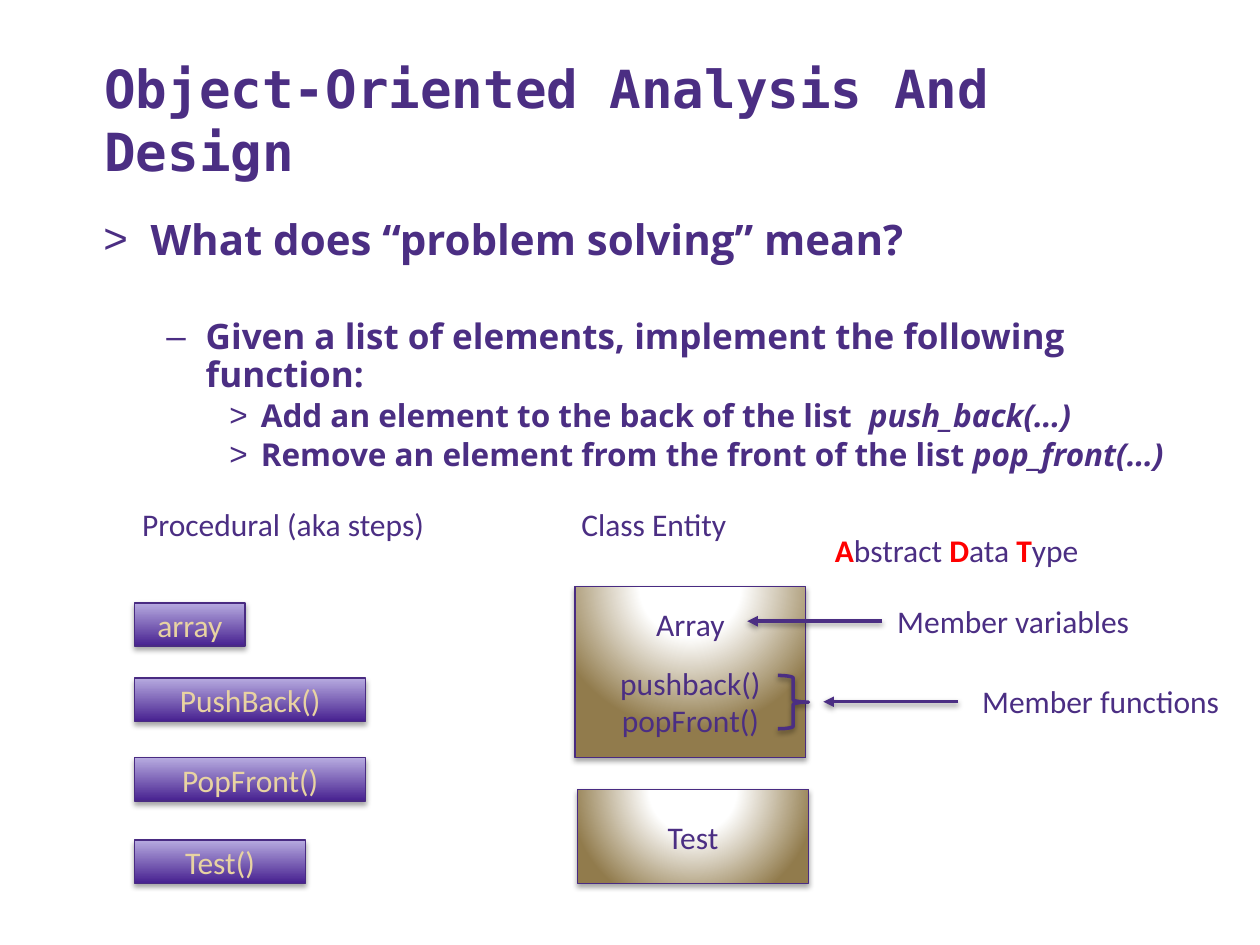
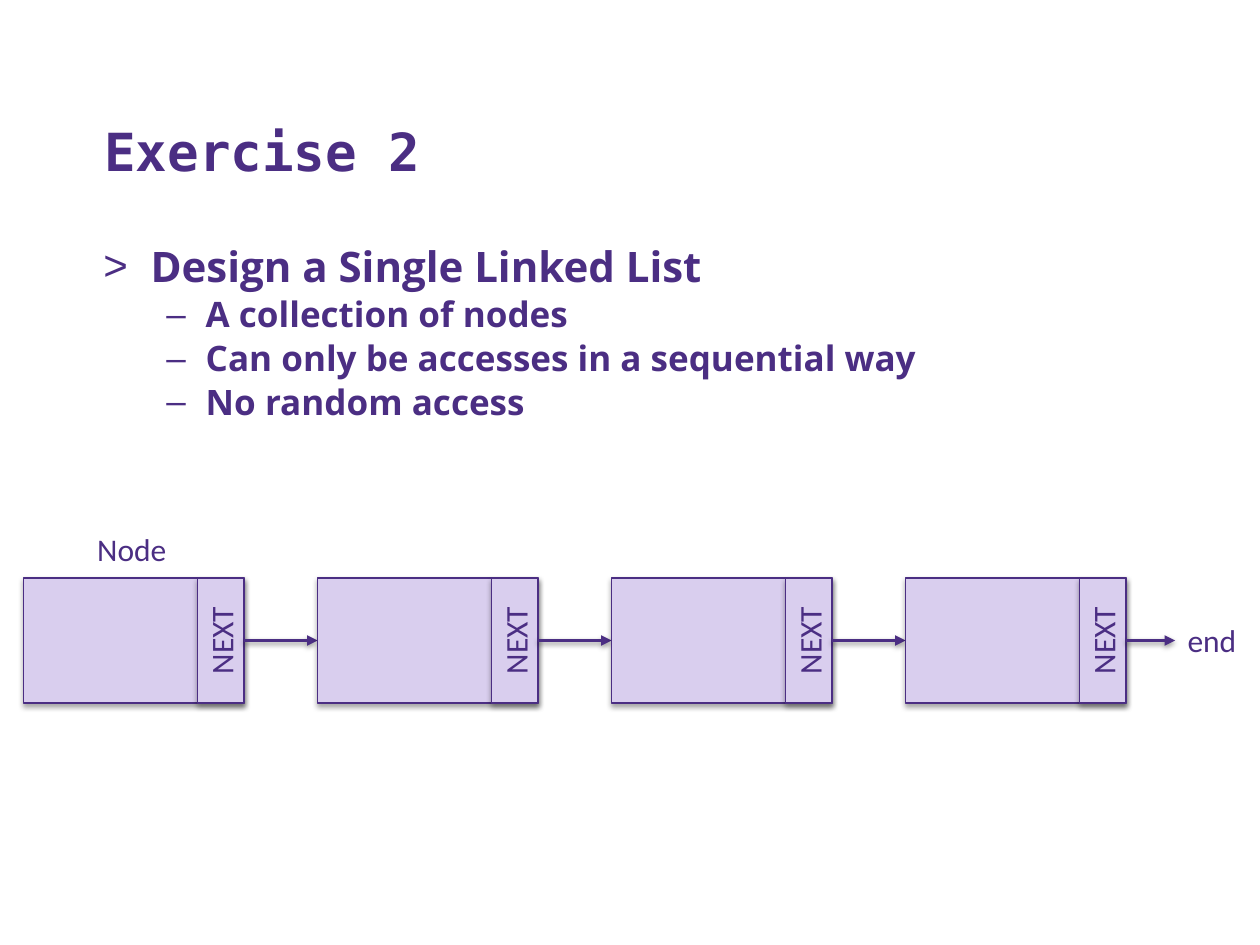
from dataclasses import dataclass

from pptx import Presentation
from pptx.dml.color import RGBColor
from pptx.enum.shapes import MSO_CONNECTOR, MSO_SHAPE
from pptx.enum.text import MSO_ANCHOR, PP_ALIGN
from pptx.oxml import parse_xml
from pptx.oxml.ns import nsdecls, qn
from pptx.util import Pt

RECT, BRACE = MSO_SHAPE.RECTANGLE, MSO_SHAPE.RIGHT_BRACE
STRAIGHT = MSO_CONNECTOR.STRAIGHT
TOP, MIDDLE, BOTTOM = MSO_ANCHOR.TOP, MSO_ANCHOR.MIDDLE, MSO_ANCHOR.BOTTOM
LEFT, CENTER = PP_ALIGN.LEFT, PP_ALIGN.CENTER


@dataclass(frozen=True)
class Theme:
    ink: str = "4B2E83"
    edge: str = "492B82"
    gold: str = "E8D3A2"
    key: str = "FF0000"
    lilac: str = "D9CEEE"
    violet: tuple = ((0, "472190"), (100, "B7ABE0"))
    bronze: tuple = ((0, "FFFFFF"), (35, "FFFFFF"), (100, "917B4C"))
    mono: str = "DejaVu Sans Mono"
    sans: str = "Open Sans"
    plain: str = "Calibri"
    title: int = 30
    label: int = 18
    thin: float = 0.75
    thick: int = 2


T = Theme()
LINEAR = '<a:lin ang="16200000" scaled="0"/>'
RADIAL = ('<a:path path="circle"><a:fillToRect l="50000" t="-80000" '
          'r="50000" b="180000"/></a:path>')
# Per list level: size, left margin, hanging indent, space before, bullet
LEVELS = ((24, 27, 27, 4, ">"), (20, 58.5, 22.5, 3.5, "–"), (18, 90, 18, 3, ">"))


def rgb(code):
    return RGBColor.from_string(code)


def xml(tag, body="", **attrs):
    pairs = " ".join(f'{name}="{value}"' for name, value in attrs.items())
    return parse_xml(f'<a:{tag} {nsdecls("a")} {pairs}>{body}</a:{tag}>')


def write(para, text, face=T.plain, size=T.label, color=T.ink, bold=False):
    """Fill a paragraph with a string, or with (text, mark) runs."""
    font = para.font
    font.name, font.size, font.bold = face, Pt(size), bold
    font.color.rgb = rgb(color)
    for part, mark in [(text, "")] if isinstance(text, str) else text:
        run = para.add_run()
        run.text = part
        if mark == "italic":
            run.font.italic = True
        elif mark == "key":
            run.font.bold = True
            run.font.color.rgb = rgb(T.key)


def shade(shape, stops, course):
    """Give a shape a gradient; course is its direction element."""
    shape.fill.gradient()
    props = shape._element.spPr
    marks = "".join(f'<a:gs pos="{pos * 1000}"><a:srgbClr val="{code}"/></a:gs>'
                    for pos, code in stops)
    props.replace(props.find(qn("a:gradFill")),
                  xml("gradFill", f"<a:gsLst>{marks}</a:gsLst>{course}",
                      rotWithShape=1))


def drop(shape, alpha=35, dist=1.8):
    """Set a soft shadow that falls straight down."""
    props = shape._element.spPr
    old = props.find(qn("a:effectLst"))
    if old is not None:
        props.remove(old)
    tint = f'<a:srgbClr val="000000"><a:alpha val="{alpha * 1000}"/></a:srgbClr>'
    props.append(xml("effectLst",
                     f'<a:outerShdw blurRad="{Pt(3.1)}" dist="{Pt(dist)}" '
                     f'dir="5400000" rotWithShape="0">{tint}</a:outerShdw>'))


def text_box(slide, box, anchor=TOP, wrap=True):
    frame = slide.shapes.add_textbox(*map(Pt, box)).text_frame
    frame.word_wrap = wrap
    frame.vertical_anchor = anchor
    return frame


def label(slide, box, text, indent=0, wrap=False):
    frame = text_box(slide, box, wrap=wrap)
    frame.margin_left = Pt(7.2 + indent)
    write(frame.paragraphs[0], text)


def note(slide, left, top, text):
    """Add a label whose text starts one inch into its box."""
    label(slide, (left, top, 250, 29), text, indent=72, wrap=True)


def block(slide, box, lines=(), fill=T.lilac, course=None, edge=T.edge,
          color=T.ink, turn=0):
    """Draw a shadowed rectangle; lines holds (text, space before) pairs."""
    shape = slide.shapes.add_shape(RECT, *map(Pt, box))
    shape.rotation = turn
    shape.shadow.inherit = False
    if course:
        shade(shape, fill, course)
    else:
        shape.fill.solid()
        shape.fill.fore_color.rgb = rgb(fill)
    shape.line.color.rgb = rgb(edge)
    shape.line.width = Pt(T.thin)
    drop(shape)
    frame = shape.text_frame
    frame.vertical_anchor = MIDDLE
    for i, (text, gap) in enumerate(lines):
        para = frame.add_paragraph() if i else frame.paragraphs[0]
        para.alignment = CENTER
        if gap:
            para.space_before = Pt(gap)
        write(para, text, color=color)


def arrow(slide, start, end, y):
    link = slide.shapes.add_connector(STRAIGHT, Pt(start), Pt(y), Pt(end), Pt(y))
    link.line.color.rgb = rgb(T.ink)
    link.line.width = Pt(T.thick)
    link.line._get_or_add_ln().append(xml("tailEnd", type="triangle"))
    drop(link, 38, 1.6)


def brace(slide, box):
    shape = slide.shapes.add_shape(BRACE, *map(Pt, box))
    shape.shadow.inherit = False
    shape.fill.background()
    shape.line.color.rgb = rgb(T.ink)
    shape.line.width = Pt(T.thick)
    drop(shape, 38, 1.6)


def heading(slide, text):
    frame = text_box(slide, (52.5, 29.5, 644, 78), BOTTOM)
    write(frame.paragraphs[0], text, T.mono, T.title, bold=True)


def outline(slide, top, items):
    """Write the bulleted list; items hold (level, text, extra gap)."""
    frame = text_box(slide, (52, top, 645, 316))
    for i, (level, text, extra) in enumerate(items):
        size, margin, hang, gap, sign = LEVELS[level]
        para = frame.add_paragraph() if i else frame.paragraphs[0]
        para.level = level
        para.alignment = LEFT
        para.line_spacing = 0.9
        if i:
            para.space_before = Pt(gap + extra)
        props = para._p.get_or_add_pPr()
        props.set("marL", str(Pt(margin)))
        props.set("indent", str(-Pt(hang)))
        props.append(xml("buFont", typeface="Arial"))
        props.append(xml("buChar", char=sign.replace(">", "&gt;")))
        write(para, text, T.sans, size, bold=True)


def steps(slide, left, top):
    """Draw the procedural column."""
    note(slide, left - 75, top, "Procedural (aka steps)")
    for text, down, width in (("array", 59.5, 63), ("PushBack()", 102.5, 132),
                              ("PopFront()", 148, 132), ("Test()", 195, 97.5)):
        block(slide, (left, top + down, width, 24.75), [(text, 0)],
              T.violet, LINEAR, color=T.gold)


def entity(slide, left, top):
    """Draw the class column with its members."""
    note(slide, left - 75.5, top, "Class Entity")
    block(slide, (left, top + 50, 132, 98),
          [("Array", 0), ("pushback()", 12), ("popFront()", 0)],
          T.bronze, RADIAL)
    block(slide, (left + 1.5, top + 166, 132, 54), [("Test", 0)],
          T.bronze, RADIAL)
    arrow(slide, left + 175.5, left + 98.5, top + 70)
    note(slide, left + 105, top + 55.5, "Member variables")
    brace(slide, (left + 116, top + 101, 17.5, 30.5))
    arrow(slide, left + 219, left + 142, top + 116)
    note(slide, left + 153.5, top + 101, "Member functions")
    label(slide, (left + 141.5, top + 15, 155, 29),
          [("A", "key"), ("bstract ", ""), ("D", "key"), ("ata ", ""),
           ("T", "key"), ("ype", "")])


def chain(slide, left, top, count=4):
    """Draw linked nodes, each with a pocket that points to the next."""
    wide, high, slot, pitch = 126, 71.5, 26.5, 168
    mid = top + high / 2
    label(slide, (left + 35, top - 31, 55, 29), "Node")
    for i in range(count):
        x = left + i * pitch
        edge = x + wide
        block(slide, (x, top, wide, high), edge=T.ink)
        block(slide, (edge - (slot + high) / 2, mid - slot / 2, high, slot),
              [("NEXT", 0)], edge=T.ink, turn=270)
        arrow(slide, edge, edge + (28 if i == count - 1 else pitch - wide), mid)
    label(slide, (edge + 28, mid - 14.5, 42.5, 29), "end")


def analysis(slide):
    heading(slide, "Object-Oriented Analysis And Design")
    outline(slide, 121.5, [
        (0, "What does “problem solving” mean?", 0),
        (1, "Given a list of elements, implement the following function:", 28),
        (2, [("Add an element to the back of the list  ", ""),
             ("push_back(…)", "italic")], 0),
        (2, [("Remove an element from the front of the list ", ""),
             ("pop_front(…)", "italic")], 0)])
    steps(slide, 77, 285)
    entity(slide, 328.5, 285)


def exercise(slide):
    heading(slide, "Exercise 2")
    outline(slide, 137, [
        (0, "Design a Single Linked List", 0),
        (1, "A collection of nodes", 0),
        (1, "Can only be accesses in a sequential way", 0),
        (1, "No random access", 0)])
    chain(slide, 13.5, 330.25)


def main():
    deck = Presentation()
    deck.slide_width, deck.slide_height = Pt(720), Pt(540)
    blank = deck.slide_layouts[6]
    for draw in (analysis, exercise):
        draw(deck.slides.add_slide(blank))
    deck.save("out.pptx")


if __name__ == "__main__":
    main()
